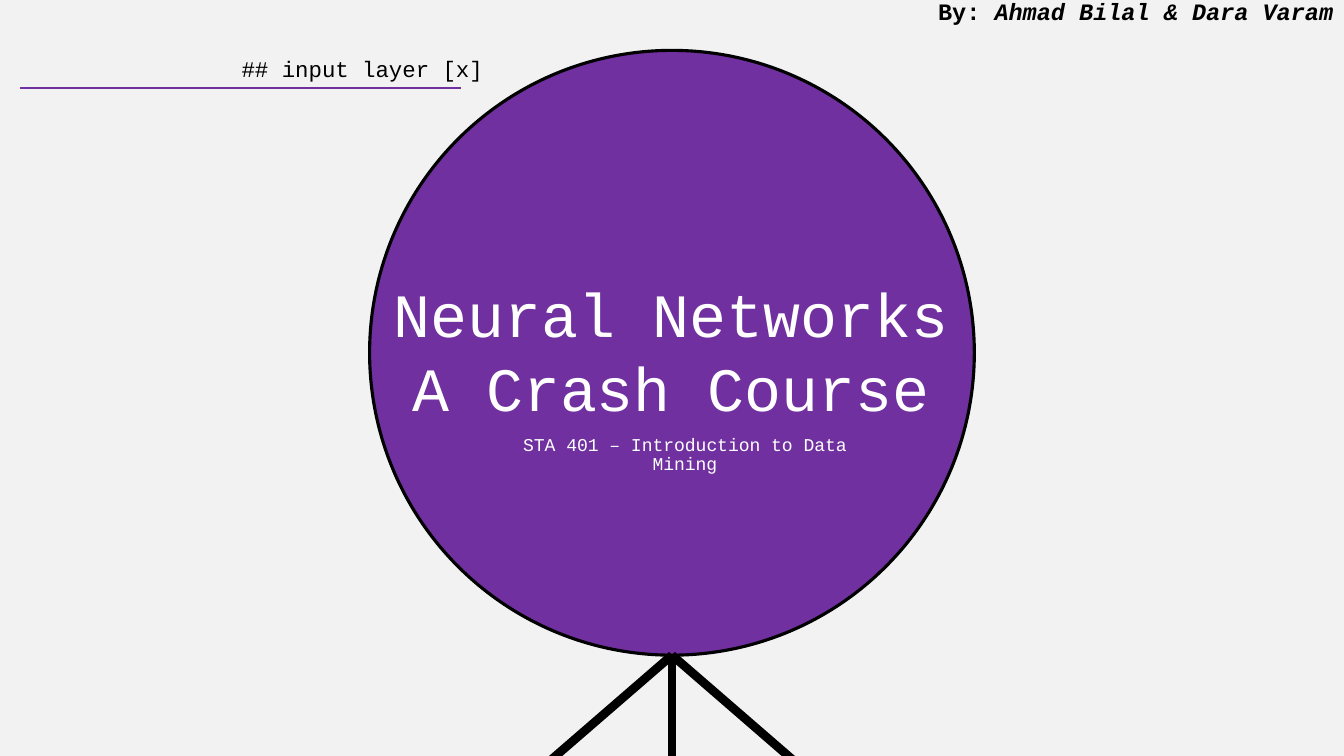
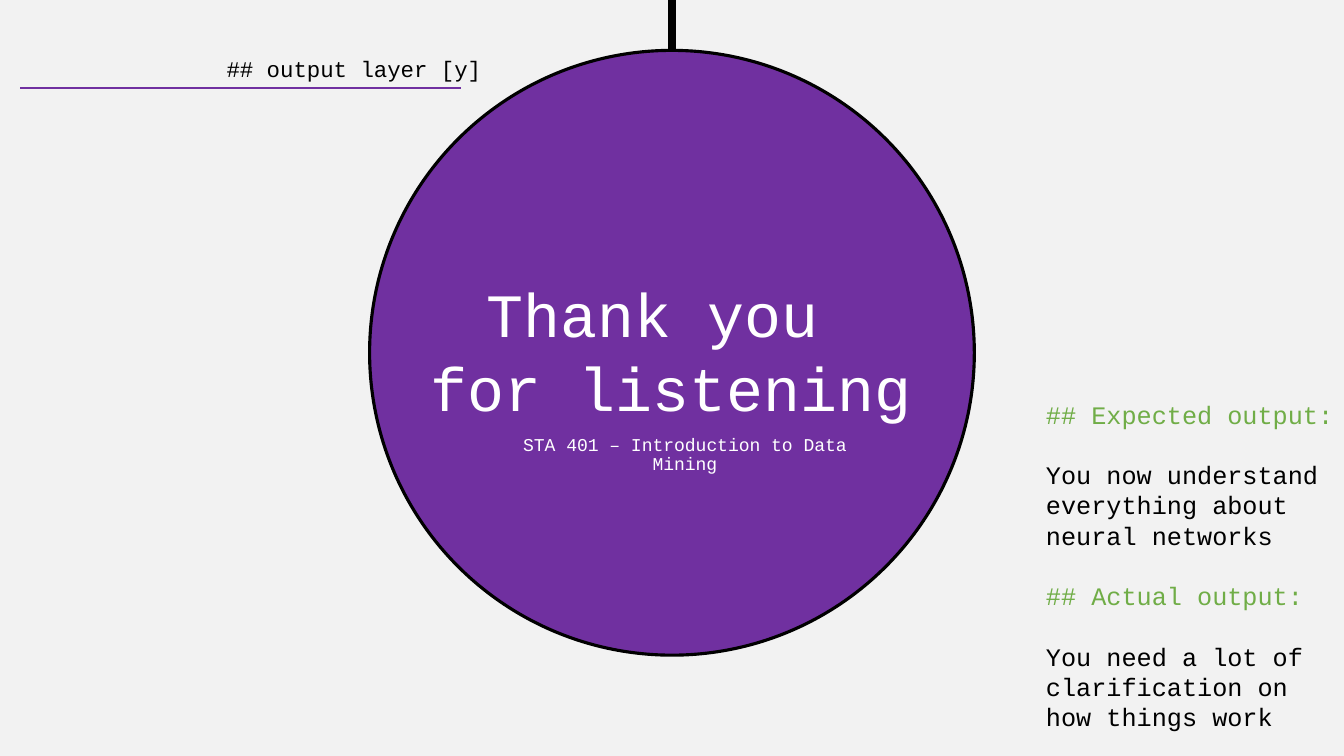
import pptx
import pptx.util
import pptx.dml.color
import pptx.enum.shapes
import pptx.enum.text
import pptx.oxml

Cm = pptx.util.Cm
Pt = pptx.util.Pt
ALIGN = pptx.enum.text.PP_ALIGN

PURPLE, BLACK, WHITE = "7030A0", "000000", "FFFFFF"
GREEN, PALE_GREY = "70AD47", "F2F2F2"
WIDTH, HEIGHT = 33.87, 19.05
CENTER = WIDTH / 2
NEURON_TOP, NEURON_SIZE = 1.27, 15.24
NEURON_BOTTOM = NEURON_TOP + NEURON_SIZE
SPOKE_DROP, SPOKE_SPREAD = 3.3, 3.81
COURSE = "STA 401 – Introduction to Data Mining"


def paint(color_format, hex_color):
    color_format.rgb = pptx.dml.color.RGBColor.from_string(hex_color)


def assign(target, values):
    for name, value in values.items():
        setattr(target, name, value)


class NetworkDeck:
    font = "Courier New"
    frame_format = {
        "word_wrap": True,
        "auto_size": pptx.enum.text.MSO_AUTO_SIZE.NONE,
        "vertical_anchor": pptx.enum.text.MSO_ANCHOR.TOP,
    }
    paragraph_format = {"alignment": ALIGN.LEFT, "line_spacing": 1.0, "space_before": Pt(0)}

    def __init__(self):
        self.deck = pptx.Presentation()
        assign(self.deck, {"slide_width": Cm(WIDTH), "slide_height": Cm(HEIGHT)})
        backdrop = self.deck.slide_master.background.fill
        backdrop.solid()
        paint(backdrop.fore_color, PALE_GREY)
        self.slide = None

    def new_slide(self):
        self.slide = self.deck.slides.add_slide(self.deck.slide_layouts[0])

    def line(self, start, end, color=BLACK, weight=6.25):
        connector = self.slide.shapes.add_connector(
            pptx.enum.shapes.MSO_CONNECTOR.STRAIGHT, *map(Cm, start + end))
        paint(connector.line.color, color)
        connector.line.width = Pt(weight)
        connector._element.spPr.append(pptx.oxml.parse_xml(
            '<a:effectLst xmlns:a="http://schemas.openxmlformats.org/drawingml/2006/main"/>'))

    def neuron(self):
        circle = self.slide.shapes.add_shape(
            pptx.enum.shapes.MSO_SHAPE.OVAL, Cm(CENTER - NEURON_SIZE / 2),
            Cm(NEURON_TOP), Cm(NEURON_SIZE), Cm(NEURON_SIZE))
        circle.shadow.inherit = False
        circle.fill.solid()
        paint(circle.fill.fore_color, PURPLE)
        paint(circle.line.color, BLACK)
        circle.line.width = Pt(2.25)

    def fill_frame(self, frame, paragraphs, size, layout=None):
        assign(frame, self.frame_format)
        for index, runs in enumerate(paragraphs):
            paragraph = frame.add_paragraph() if index else frame.paragraphs[0]
            assign(paragraph, {**self.paragraph_format, **(layout or {})})
            for words, color, style in runs:
                run = paragraph.add_run()
                run.text = words
                assign(run.font, {"name": self.font, "size": Pt(size), **style})
                paint(run.font.color, color)

    def text(self, box, paragraphs, size, layout=None):
        frame = self.slide.shapes.add_textbox(*map(Cm, box)).text_frame
        self.fill_frame(frame, paragraphs, size, layout)
        return frame

    def placeholder(self, index, box, lines, size, layout):
        holder = self.slide.placeholders[index]
        assign(holder, dict(zip(("left", "top", "width", "height"), map(Cm, box))))
        self.slide.shapes._spTree.append(holder._element)
        self.fill_frame(holder.text_frame, [[(words, WHITE, {})] for words in lines], size, layout)

    def headline(self, lines):
        self.placeholder(0, (6.45, 6.83, 20.93, 4.01), lines, 44, {"alignment": ALIGN.CENTER})
        self.placeholder(1, (12.01, 10.85, 10.5, 1.02), [COURSE], 12.9,
                         {"alignment": ALIGN.CENTER, "line_spacing": 0.9, "space_before": Pt(10)})

    def layer_label(self, label, left):
        self.text((left, 1.27, 8.15, 0.94), [[(label, BLACK, {})]], 16)
        self.line((0.51, 2.21), (11.61, 2.21), PURPLE, 1.5)

    def byline(self, authors):
        self.text((23.37, 0, 10.5, 1.02),
                  [[("By: ", BLACK, {"bold": True}),
                    (authors, BLACK, {"bold": True, "italic": True})]], 16.8,
                  {"alignment": ALIGN.CENTER, "line_spacing": 0.7, "space_before": Pt(10)})

    def outputs(self, entries):
        paragraphs = [[(words, color, {})] for entry in entries
                      for words, color in zip(entry, (GREEN, BLACK))]
        frame = self.text((26.11, 9.93, 7.76, 9.12), paragraphs, 18, {"space_before": Pt(21.6)})
        frame.margin_right = 0
        frame.paragraphs[0].space_before = Pt(0)


def main():
    network = NetworkDeck()

    network.new_slide()
    network.neuron()
    network.byline("Ahmad Bilal & Dara Varam")
    network.layer_label("## input layer [x]", 5.84)
    network.headline(["Neural Networks", "A Crash Course"])
    for side in (0, 1, -1):
        network.line((CENTER, NEURON_BOTTOM),
                     (CENTER + side * SPOKE_SPREAD, NEURON_BOTTOM + SPOKE_DROP))

    network.new_slide()
    network.line((CENTER, -1), (CENTER, 2.3))
    network.neuron()
    network.layer_label("## output layer [y]", 5.46)
    network.headline(["Thank you ", "for listening"])
    network.outputs([
        ("## Expected output:", "You now understand everything about neural networks"),
        ("## Actual output:", "You need a lot of clarification on how things work"),
    ])

    network.deck.save("out.pptx")


if __name__ == "__main__":
    main()
